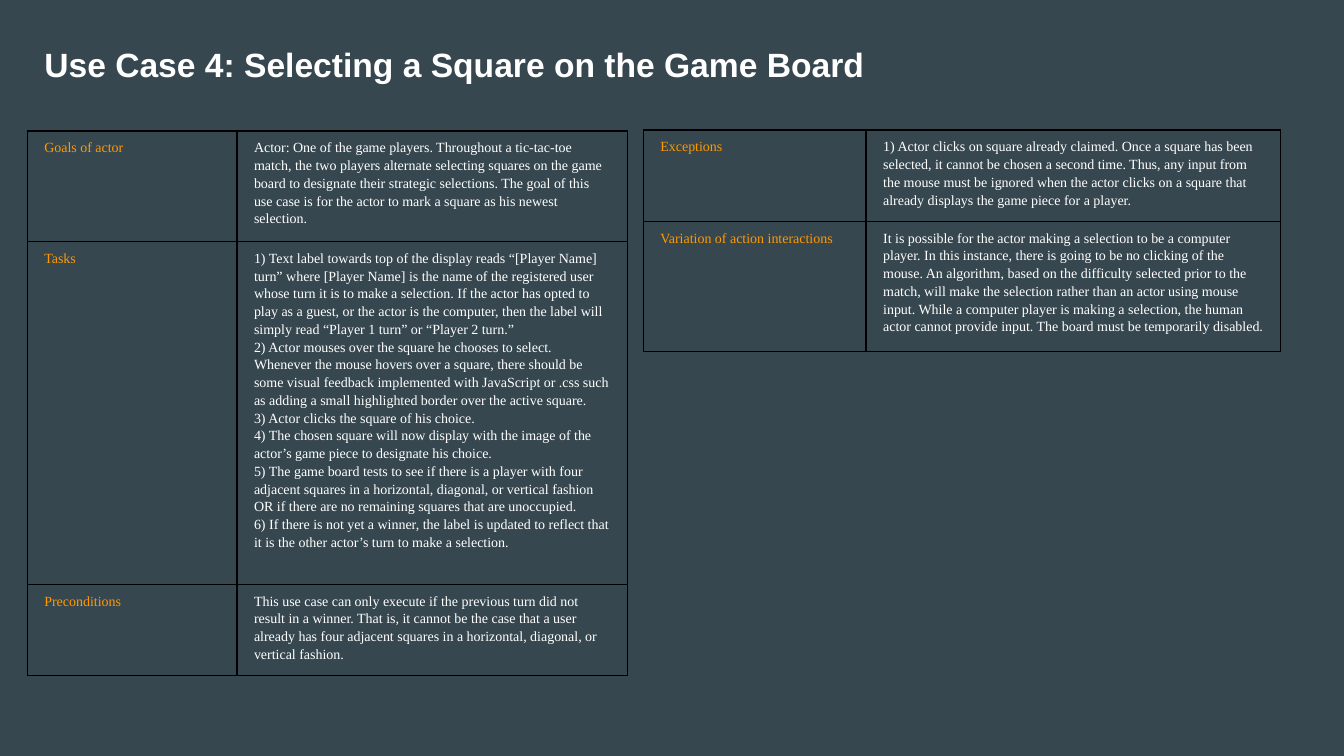
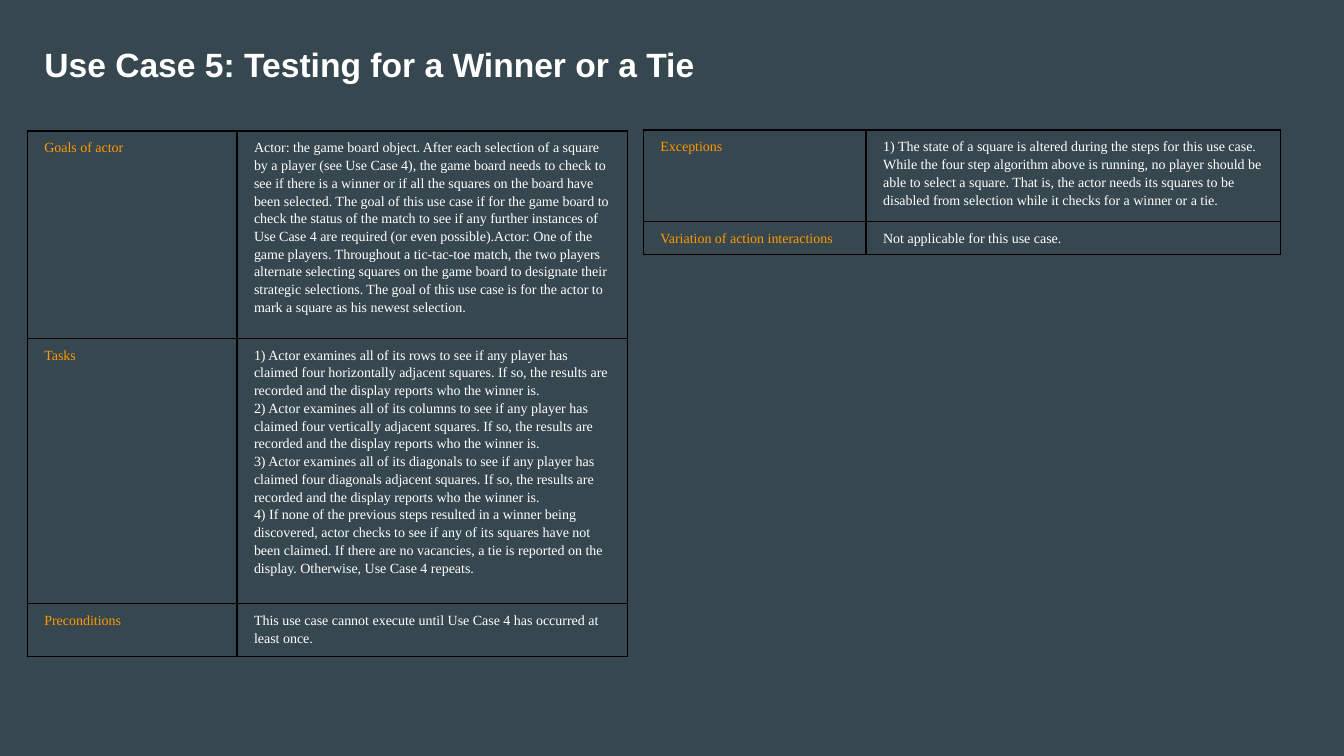
from pptx import Presentation
from pptx.dml.color import RGBColor
from pptx.enum.text import MSO_ANCHOR
from pptx.oxml.ns import qn
from pptx.util import Inches, Pt
from lxml import etree

MIDDLE = MSO_ANCHOR.MIDDLE
SLATE = RGBColor(0x37, 0x47, 0x4F)
WHITE = RGBColor(0xFF, 0xFF, 0xFF)
ORANGE = RGBColor(0xFF, 0x99, 0x00)
BLACK = RGBColor(0x00, 0x00, 0x00)

USE_CASES = [
    {
        "title": "Use Case 4: Selecting a Square on the Game Board",
        "main": [
            ("Goals of actor", [
                "Actor: One of the game players. Throughout a tic-tac-toe match, the two players "
                "alternate selecting squares on the game board to designate their strategic "
                "selections. The goal of this use case is for the actor to mark a square as his "
                "newest selection.",
            ]),
            ("Tasks", [
                "1) Text label towards top of the display reads “[Player Name] turn” where "
                "[Player Name] is the name of the registered user whose turn it is to make a "
                "selection. If the actor has opted to play as a guest, or the actor is the "
                "computer, then the label will simply read “Player 1 turn” or “Player 2 turn.”",
                "2) Actor mouses over the square he chooses to select. Whenever the mouse hovers "
                "over a square, there should be some visual feedback implemented with JavaScript "
                "or .css such as adding a small highlighted border over the active square.",
                "3) Actor clicks the square of his choice.",
                "4) The chosen square will now display with the image of the actor’s game piece "
                "to designate his choice.",
                "5) The game board tests to see if there is a player with four adjacent squares "
                "in a horizontal, diagonal, or vertical fashion OR if there are no remaining "
                "squares that are unoccupied.",
                "6) If there is not yet a winner, the label is updated to reflect that it is the "
                "other actor’s turn to make a selection.",
            ]),
            ("Preconditions", [
                "This use case can only execute if the previous turn did not result in a winner. "
                "That is, it cannot be the case that a user already has four adjacent squares in "
                "a horizontal, diagonal, or vertical fashion.",
            ]),
        ],
        "special": [
            ("Exceptions", [
                "1) Actor clicks on square already claimed. Once a square has been selected, it "
                "cannot be chosen a second time. Thus, any input from the mouse must be ignored "
                "when the actor clicks on a square that already displays the game piece for a "
                "player.",
            ]),
            ("Variation of action interactions", [
                "It is possible for the actor making a selection to be a computer player. In this "
                "instance, there is going to be no clicking of the mouse. An algorithm, based on "
                "the difficulty selected prior to the match, will make the selection rather than "
                "an actor using mouse input. While a computer player is making a selection, the "
                "human actor cannot provide input. The board must be temporarily disabled.",
            ]),
        ],
    },
    {
        "title": "Use Case 5: Testing for a Winner or a Tie",
        "main": [
            ("Goals of actor", [
                "Actor: the game board object. After each selection of a square by a player (see "
                "Use Case 4), the game board needs to check to see if there is a winner or if all "
                "the squares on the board have been selected. The goal of this use case if for "
                "the game board to check the status of the match to see if any further instances "
                "of Use Case 4 are required (or even possible).Actor: One of the game players. "
                "Throughout a tic-tac-toe match, the two players alternate selecting squares on "
                "the game board to designate their strategic selections. The goal of this use "
                "case is for the actor to mark a square as his newest selection.",
            ]),
            ("Tasks", [
                "1) Actor examines all of its rows to see if any player has claimed four "
                "horizontally adjacent squares. If so, the results are recorded and the display "
                "reports who the winner is.",
                "2) Actor examines all of its columns to see if any player has claimed four "
                "vertically adjacent squares. If so, the results are recorded and the display "
                "reports who the winner is.",
                "3) Actor examines all of its diagonals to see if any player has claimed four "
                "diagonals adjacent squares. If so, the results are recorded and the display "
                "reports who the winner is.",
                "4) If none of the previous steps resulted in a winner being discovered, actor "
                "checks to see if any of its squares have not been claimed. If there are no "
                "vacancies, a tie is reported on the display. Otherwise, Use Case 4 repeats.",
            ]),
            ("Preconditions", [
                "This use case cannot execute until Use Case 4 has occurred at least once.",
            ]),
        ],
        "special": [
            ("Exceptions", [
                "1) The state of a square is altered during the steps for this use case. While "
                "the four step algorithm above is running, no player should be able to select a "
                "square. That is, the actor needs its squares to be disabled from selection while "
                "it checks for a winner or a tie.",
            ]),
            ("Variation of action interactions", ["Not applicable for this use case."]),
        ],
    },
]


class UseCaseDeck:
    title_font = "Arial"
    body_font = "Times New Roman"
    title_size = Pt(24)
    body_size = Pt(10)
    border_width = Pt(1)
    title_inset = Inches(0.13)
    cell_inset = Inches(0.07)
    text_indent = Inches(0.1)
    minimum_row_height = Inches(0.14)
    table_height = Inches(3.28)

    def __init__(self):
        self.presentation = Presentation()
        self.presentation.slide_width = Inches(13.33)
        self.presentation.slide_height = Inches(7.5)
        background = self.presentation.slide_master.background.fill
        background.solid()
        background.fore_color.rgb = SLATE
        self.blank_layout = self.presentation.slide_layouts[6]
        self.slide = None

    def add_slide(self, title):
        self.slide = self.presentation.slides.add_slide(self.blank_layout)
        self.add_title(title)

    def add_title(self, text):
        shape = self.slide.shapes.add_textbox(
            Inches(0.31), Inches(0.29), Inches(11.5), Inches(0.75))
        text_frame = shape.text_frame
        text_frame.word_wrap = True
        text_frame.vertical_anchor = MIDDLE
        self.set_margins(text_frame, self.title_inset)
        text_frame.text = text
        paragraph = text_frame.paragraphs[0]
        paragraph.line_spacing = 0.9
        self.format_runs(paragraph, self.title_font, self.title_size, WHITE, bold=True)

    def add_table(self, left, top, column_widths, rows):
        frame = self.slide.shapes.add_table(
            len(rows), len(column_widths), left, top, sum(column_widths), self.table_height)
        table = frame.table
        table.first_row = False
        table.horz_banding = False
        table_properties = table._tbl.tblPr
        table_properties.remove(table_properties.find(qn("a:tableStyleId")))
        for column, width in zip(table.columns, column_widths):
            column.width = width
        for index, (label, details) in enumerate(rows):
            table.rows[index].height = self.minimum_row_height
            self.fill_cell(table.cell(index, 0), [label], ORANGE)
            self.fill_cell(table.cell(index, 1), details, WHITE)
        frame.height = self.table_height

    def fill_cell(self, cell, lines, color):
        self.set_margins(cell, self.cell_inset)
        self.add_borders(cell)
        cell.fill.background()
        cell.text_frame.text = "\n".join(lines)
        for paragraph in cell.text_frame.paragraphs:
            paragraph.line_spacing = 1.15
            properties = paragraph._p.get_or_add_pPr()
            properties.set("marL", str(self.text_indent))
            properties.set("marR", str(self.text_indent))
            properties.set("indent", "0")
            self.format_runs(paragraph, self.body_font, self.body_size, color)

    def add_borders(self, cell):
        properties = cell._tc.get_or_add_tcPr()
        for side in ("a:lnL", "a:lnR", "a:lnT", "a:lnB"):
            line = etree.SubElement(properties, qn(side), w=str(self.border_width))
            fill = etree.SubElement(line, qn("a:solidFill"))
            etree.SubElement(fill, qn("a:srgbClr"), val=str(BLACK))

    def set_margins(self, target, inset):
        target.margin_left = target.margin_right = inset
        target.margin_top = target.margin_bottom = inset

    def format_runs(self, paragraph, font_name, size, color, bold=False):
        for run in paragraph.runs:
            run.font.name = font_name
            run.font.size = size
            run.font.bold = bold
            run.font.color.rgb = color
            for script in ("a:ea", "a:cs"):
                etree.SubElement(run._r.rPr, qn(script), typeface=font_name)

    def save(self):
        self.presentation.save("out.pptx")


def main():
    deck = UseCaseDeck()
    for use_case in USE_CASES:
        deck.add_slide(use_case["title"])
        deck.add_table(Inches(0.27), Inches(1.3),
                       [Inches(2.08), Inches(3.87)], use_case["main"])
        deck.add_table(Inches(6.38), Inches(1.29),
                       [Inches(2.21), Inches(4.11)], use_case["special"])
    deck.save()


if __name__ == "__main__":
    main()
